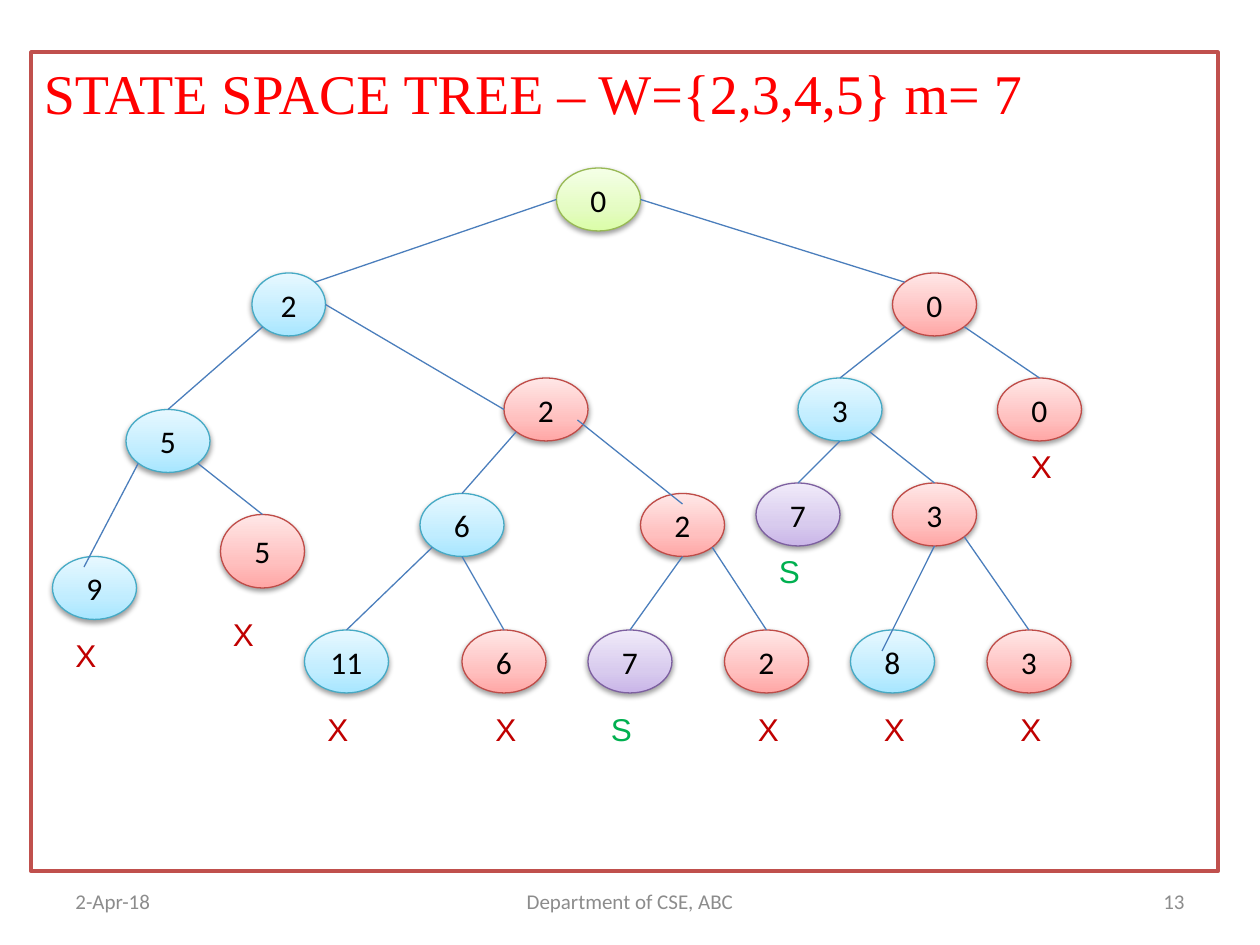
from copy import deepcopy
from dataclasses import dataclass

from lxml.etree import SubElement
from pptx import Presentation
from pptx.dml.color import RGBColor
from pptx.enum.shapes import MSO_CONNECTOR as Connector, MSO_SHAPE as Preset
from pptx.enum.text import MSO_ANCHOR as Anchor, PP_ALIGN as Align
from pptx.oxml.ns import qn
from pptx.util import Pt


@dataclass(frozen=True)
class Palette:
    line: str
    stops: tuple[str, str, str]


@dataclass(frozen=True)
class Node:
    branch: str
    value: str
    left: float
    top: float
    palette: Palette
    start: str = "bottom"
    end: str = "top"
    width: float = 48
    height: float = 36


@dataclass(frozen=True)
class Label:
    text: str
    left: float
    top: float
    width: float
    height: float
    style: dict
    align: Align = Align.LEFT
    anchor: Anchor = Anchor.TOP
    space_before: float = 0


GREEN = Palette("98B955", ("DAFDA7", "E4FCC2", "F5FFE7"))
BLUE = Palette("46AAC5", ("A7E6FF", "C1EDFF", "E7F8FF"))
RED = Palette("BF4C48", ("FFA6A5", "FFC0BF", "FFE7E7"))
PURPLE = Palette("7D60A0", ("C9B5E8", "D8CBEE", "F0EAF9"))

TITLE = {"name": "Times New Roman", "size": Pt(32), "color": "FF0000"}
FOOTER = {"name": "Calibri", "size": Pt(12), "color": "8C8C8C"}
VALUE = {"name": "Calibri", "size": Pt(18), "color": "000000"}
FAILED = {"name": "Arial", "size": Pt(18), "color": "C00000"}
SOLVED = {**FAILED, "color": "00B050"}

NEAR, FAR = 0.5 - 0.125 ** 0.5, 0.5 + 0.125 ** 0.5
SITES = {
    "top": (0.5, 0), "bottom": (0.5, 1), "left": (0, 0.5), "right": (1, 0.5),
    "upper left": (NEAR, NEAR), "upper right": (FAR, NEAR),
    "lower left": (NEAR, FAR), "lower right": (FAR, FAR),
    "inside top": (0.5, 1 / 6), "inside upper left": (3 / 8, 1 / 6),
    "inside left": (3 / 8, 1 / 3), "inside lower right": (7 / 8, 2 / 3),
}

NODES = [
    Node("r", "0", 318, 96, GREEN),
    Node("r1", "2", 144, 156, BLUE, "left", "upper right", width=42),
    Node("r0", "0", 510, 156, RED, "right", "upper left"),
    Node("r11", "5", 72, 234, BLUE, "lower left"),
    Node("r10", "2", 288, 216, RED, "right", "left"),
    Node("r01", "3", 456, 216, BLUE, "lower left"),
    Node("r00", "0", 570, 216, RED, "lower right"),
    Node("r111", "9", 30, 318, BLUE, "lower left", "inside upper left"),
    Node("r110", "5", 126, 294, RED, "lower right", height=42),
    Node("r101", "6", 240, 282, BLUE, "lower left"),
    Node("r100", "2", 366, 282, RED, "inside lower right", "inside top"),
    Node("r011", "7", 432, 276, PURPLE),
    Node("r010", "3", 510, 276, RED, "lower right"),
    Node("r1011", "11", 174, 360, BLUE, "lower left"),
    Node("r1010", "6", 264, 360, RED),
    Node("r1001", "7", 336, 360, PURPLE),
    Node("r1000", "2", 414, 360, RED, "lower right"),
    Node("r0101", "8", 486, 360, BLUE, "bottom", "inside left"),
    Node("r0100", "3", 564, 360, RED, "lower right"),
]

FAILED_AT = [(36, 360), (126, 348), (582, 252), (180, 402), (276, 402),
             (426, 402), (498, 402), (576, 402)]
SOLVED_AT = [(342, 402), (438, 312)]

LABELS = [
    Label("STATE SPACE TREE – W={2,3,4,5} m= 7", 18, 30, 678, 468, TITLE, space_before=4),
    Label("2-Apr-18", 36, 500.5, 168, 28.75, FOOTER, Align.LEFT, Anchor.MIDDLE),
    Label("Department of CSE, ABC", 246, 500.5, 228, 28.75, FOOTER, Align.CENTER, Anchor.MIDDLE),
    Label("13", 516, 500.5, 168, 28.75, FOOTER, Align.RIGHT, Anchor.MIDDLE),
    *[Label("X", left, top, 30, 29, FAILED) for left, top in FAILED_AT],
    *[Label("S", left, top, 30, 29, SOLVED) for left, top in SOLVED_AT],
]


def paint(color_format, color: str) -> None:
    color_format.rgb = RGBColor.from_string(color)


def write(box, text: str, style: dict, align: Align, anchor: Anchor, space_before: float = 0) -> None:
    frame = box.text_frame
    frame.word_wrap = True
    frame.vertical_anchor = anchor
    para = frame.paragraphs[0]
    para.alignment = align
    para.space_before = Pt(space_before)
    span = para.add_run()
    span.text = text
    for attribute, value in style.items():
        if attribute == "color":
            paint(span.font.color, value)
        else:
            setattr(span.font, attribute, value)


def add_label(page, label: Label) -> None:
    box = page.shapes.add_textbox(Pt(label.left), Pt(label.top), Pt(label.width), Pt(label.height))
    write(box, label.text, label.style, label.align, label.anchor, label.space_before)


def add_frame(page) -> None:
    frame = page.shapes.add_shape(Preset.RECTANGLE, Pt(18), Pt(30), Pt(678), Pt(468))
    frame.shadow.inherit = False
    frame.fill.background()
    paint(frame.line.color, "C0504D")
    frame.line.width = Pt(2.25)


def add_shadow(shape) -> None:
    shape.shadow.inherit = False
    effects = shape.element.spPr.find(qn("a:effectLst"))
    shadow = SubElement(effects, qn("a:outerShdw"), blurRad=str(Pt(3.1)),
                        dist=str(Pt(1.6)), dir="5400000", rotWithShape="0")
    color = SubElement(shadow, qn("a:srgbClr"), val="000000")
    SubElement(color, qn("a:alpha"), val="38000")


def add_node(page, node: Node) -> None:
    oval = page.shapes.add_shape(Preset.OVAL, Pt(node.left), Pt(node.top), Pt(node.width), Pt(node.height))
    oval.fill.gradient()
    oval.fill.gradient_angle = 90
    stop_list = oval.element.spPr.find(qn("a:gradFill")).find(qn("a:gsLst"))
    stop_list.insert(1, deepcopy(stop_list[0]))
    for stop, position, color in zip(oval.fill.gradient_stops, (0, 0.35, 1), node.palette.stops):
        stop.position = position
        paint(stop.color, color)
    paint(oval.line.color, node.palette.line)
    oval.line.width = Pt(0.75)
    add_shadow(oval)
    write(oval, node.value, VALUE, Align.CENTER, Anchor.MIDDLE)


def site_point(node: Node, site: str) -> tuple:
    across, down = SITES[site]
    return Pt(node.left + across * node.width), Pt(node.top + down * node.height)


def add_edge(page, parent: Node, child: Node) -> None:
    edge = page.shapes.add_connector(
        Connector.STRAIGHT, *site_point(parent, child.start), *site_point(child, child.end))
    paint(edge.line.color, "4B7EBC")
    edge.line.width = Pt(0.75)
    SubElement(edge.element.spPr, qn("a:effectLst"))


deck = Presentation()
deck.slide_width, deck.slide_height = Pt(720), Pt(540)
page = deck.slides.add_slide(deck.slide_layouts[6])
add_frame(page)
for label in LABELS:
    add_label(page, label)
for node in NODES:
    add_node(page, node)
by_branch = {node.branch: node for node in NODES}
for node in NODES[1:]:
    add_edge(page, by_branch[node.branch[:-1]], node)
deck.save("out.pptx")
